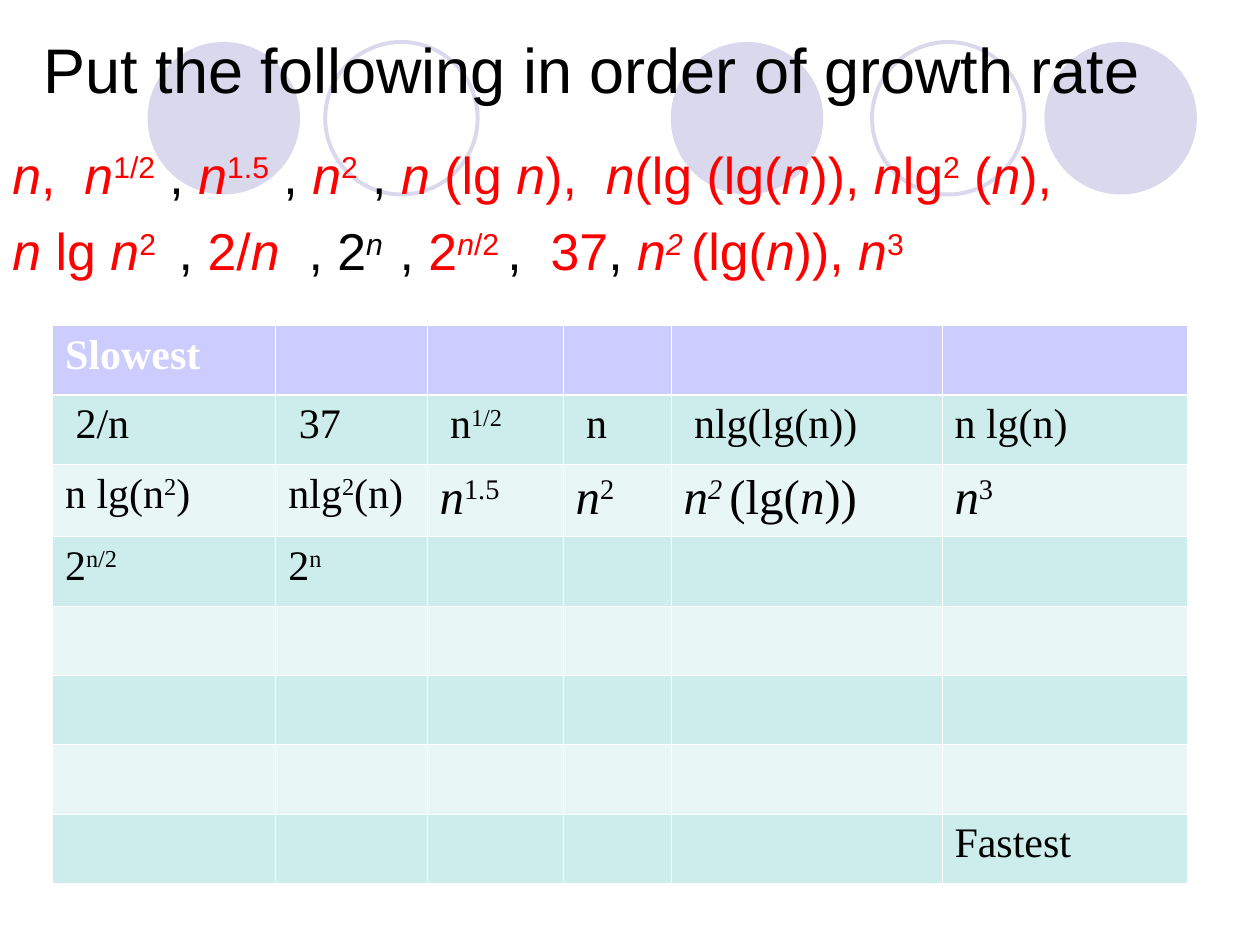
from lxml.etree import SubElement
from pptx import Presentation
from pptx.dml.color import RGBColor
from pptx.enum.shapes import MSO_SHAPE
from pptx.enum.text import MSO_ANCHOR
from pptx.oxml.ns import qn
from pptx.util import Pt

COLORS = {
    "black": "000000", "white": "FFFFFF", "red": "FF0000", "circle": "D9D8EC",
    "header": "CCCCFF", "dark band": "CDECEC", "light band": "E8F6F6",
}

# Run marks: i italic, ^ superscript, k black
FUNCTION_LINES = [
    [("n", "i"), (",  ", ""), ("n", "i"), ("1/2", "^"), (" , ", "k"),
     ("n", "i"), ("1.5", "^"), (" , ", "k"), ("n", "i"), ("2", "^"), (" , ", "k"),
     ("n", "i"), (" (lg ", ""), ("n", "i"), ("),  ", ""),
     ("n", "i"), ("(lg (lg(", ""), ("n", "i"), (")), ", ""),
     ("n", "i"), ("lg", ""), ("2", "^"), (" (", ""), ("n", "i"), ("),", "")],
    [("n", "i"), (" lg ", ""), ("n", "i"), ("2 ", "^"), (" , ", "k"),
     ("2/", ""), ("n  ", "i"), (", 2", "k"), ("n  ", "ki^"), (", ", "k"),
     ("2", ""), ("n", "i^"), ("/2 ", "^"), (",  ", "k"), ("37", ""), (", ", "k"),
     ("n", "i"), ("2 ", "i^"), ("(lg(", ""), ("n", "i"), (")), ", ""),
     ("n", "i"), ("3", "^")],
]

COLUMN_WIDTHS = [127.6, 86.4, 77.8, 61.7, 154.8, 140.4]
ROW_HEIGHTS = [39.7, 39.7, 41.2] + [39.7] * 5
LARGE_ROW_CELLS = {(2, column) for column in range(2, 6)}
CELL_RUNS = {
    (0, 0): [("Slowest", "")],
    (1, 0): [(" 2/n", "")],
    (1, 1): [(" 37", "")],
    (1, 2): [(" n", ""), ("1/2", "^")],
    (1, 3): [(" n", "")],
    (1, 4): [(" nlg(lg(n))", "")],
    (1, 5): [("n lg(n)", "")],
    (2, 0): [("n lg(n", ""), ("2", "^"), (")", "")],
    (2, 1): [("nlg", ""), ("2", "^"), ("(n)", "")],
    (2, 2): [("n", "i"), ("1.5", "^")],
    (2, 3): [("n", "i"), ("2", "^")],
    (2, 4): [("n", "i"), ("2 ", "i^"), ("(lg(", ""), ("n", "i"), ("))", "")],
    (2, 5): [("n", "i"), ("3", "^")],
    (3, 0): [("2", ""), ("n/2", "^")],
    (3, 1): [("2", ""), ("n", "^")],
    (7, 5): [("Fastest", "")],
}


def color(name):
    return RGBColor.from_string(COLORS[name])


def add_runs(paragraph, runs, color_name, **font_format):
    for text, marks in runs:
        run = paragraph.add_run()
        run.text = text
        run.font.color.rgb = color("black" if "k" in marks else color_name)
        for name, value in {**font_format, "italic": "i" in marks}.items():
            setattr(run.font, name, value)
        if "^" in marks:
            run.font._element.set("baseline", "30000")


def add_circles(slide, left, top, diameter):
    for offset, filled in [(0, True), (101.5, False), (299, True), (414, False), (512.5, True)]:
        circle = slide.shapes.add_shape(
            MSO_SHAPE.OVAL, Pt(left + offset), Pt(top), Pt(diameter), Pt(diameter))
        circle.shadow.inherit = False
        if filled:
            circle.fill.solid()
            circle.fill.fore_color.rgb = color("circle")
            circle.line.fill.background()
        else:
            circle.fill.background()
            circle.line.color.rgb = color("circle")
            circle.line.width = Pt(2.25)


def add_text_frame(slide, left, top, width, height, anchor):
    frame = slide.shapes.add_textbox(Pt(left), Pt(top), Pt(width), Pt(height)).text_frame
    frame.word_wrap = True
    frame.vertical_anchor = anchor
    return frame


def add_title(slide, left, top, width, height):
    frame = add_text_frame(slide, left, top, width, height, MSO_ANCHOR.MIDDLE)
    add_runs(frame.paragraphs[0], [("Put the following in order of growth rate", "")],
             "black", name="Arial", size=Pt(36))


def add_function_list(slide, left, top, width, height):
    frame = add_text_frame(slide, left, top, width, height, MSO_ANCHOR.TOP)
    for index, runs in enumerate(FUNCTION_LINES):
        paragraph = frame.add_paragraph() if index else frame.paragraphs[0]
        paragraph.space_before = Pt(8)
        properties = paragraph._p.get_or_add_pPr()
        properties.set("marL", str(Pt(27)))
        properties.set("indent", str(-Pt(27)))
        add_runs(paragraph, runs, "red", name="Arial", size=Pt(29.6))


def set_borders(cell, row):
    """Draw thin white borders, heavier between the header and the body."""
    heavy_side = {0: "lnB", 1: "lnT"}.get(row)
    properties = cell._tc.get_or_add_tcPr()
    for index, side in enumerate(["lnL", "lnR", "lnT", "lnB"]):
        width = 1.47 if side == heavy_side else 0.45
        line = properties.makeelement(qn(f"a:{side}"), {"w": str(Pt(width))})
        fill = SubElement(line, qn("a:solidFill"))
        SubElement(fill, qn("a:srgbClr"), val=COLORS["white"])
        properties.insert(index, line)


def add_growth_table(slide, left, top):
    table = slide.shapes.add_table(
        len(ROW_HEIGHTS), len(COLUMN_WIDTHS), Pt(left), Pt(top),
        Pt(sum(COLUMN_WIDTHS)), Pt(sum(ROW_HEIGHTS))).table
    for column, width in zip(table.columns, COLUMN_WIDTHS):
        column.width = Pt(width)
    for row_index, height in enumerate(ROW_HEIGHTS):
        table.rows[row_index].height = Pt(height)
        is_header = row_index == 0
        band = "header" if is_header else "dark band" if row_index % 2 else "light band"
        for column_index in range(len(COLUMN_WIDTHS)):
            position = (row_index, column_index)
            cell = table.cell(*position)
            cell.fill.solid()
            cell.fill.fore_color.rgb = color(band)
            set_borders(cell, row_index)
            add_runs(cell.text_frame.paragraphs[0], CELL_RUNS.get(position, []),
                     "white" if is_header else "black", name="Times New Roman",
                     size=Pt(28 if position in LARGE_ROW_CELLS else 24), bold=is_header)


def main():
    presentation = Presentation()
    presentation.slide_width, presentation.slide_height = Pt(720), Pt(540)
    slide = presentation.slides.add_slide(presentation.slide_layouts[6])
    add_circles(slide, 84.3, 24, 87.1)
    add_title(slide, 18, 12, 702, 54)
    add_function_list(slide, 0, 78, 684, 96)
    add_growth_table(slide, 30, 186)
    presentation.save("out.pptx")


if __name__ == "__main__":
    main()
